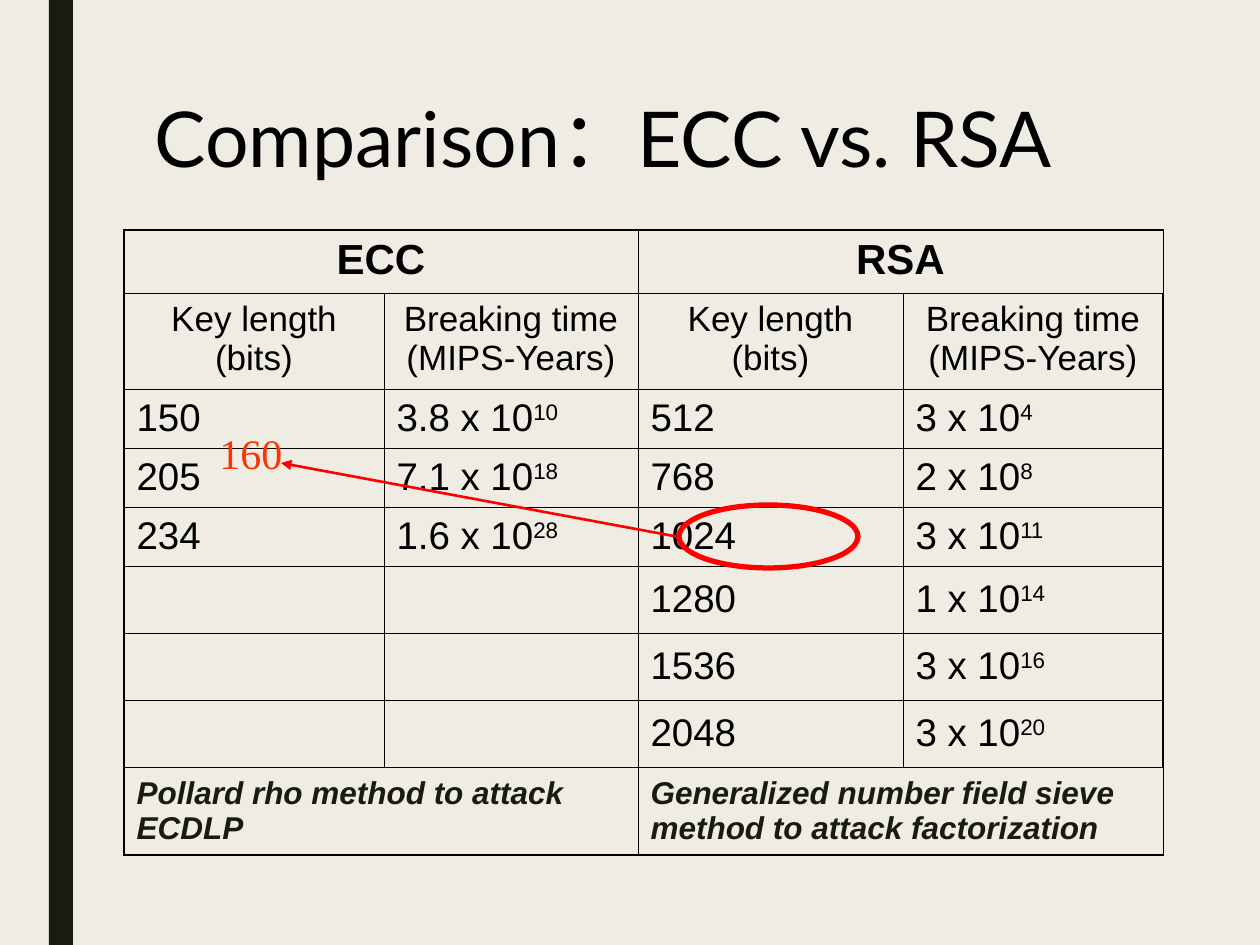
from lxml import etree
from pptx import Presentation
from pptx.dml.color import RGBColor
from pptx.enum.shapes import MSO_CONNECTOR, MSO_SHAPE
from pptx.enum.text import MSO_ANCHOR, PP_ALIGN
from pptx.oxml.ns import qn
from pptx.util import Pt

PX = 914400 / 126
LEFT, CENTER = PP_ALIGN.LEFT, PP_ALIGN.CENTER
TOP, MIDDLE = MSO_ANCHOR.TOP, MSO_ANCHOR.MIDDLE
RECTANGLE, OVAL = MSO_SHAPE.RECTANGLE, MSO_SHAPE.OVAL
STRAIGHT = MSO_CONNECTOR.STRAIGHT

BLACK, DARK, RED, CREAM = "000000", "191B0E", "FF0000", "EFEDE3"
THICK, THIN = 1.08, 0.45
COLUMNS = [260, 254, 265, 260]
ROWS = [63, 96, 59, 59, 59, 67, 67, 67, 88]
HEADINGS = ["Key length (bits)", "Breaking time (MIPS-Years)"]
ECC = [("150", "3.8 x 10", "10"), ("205", "7.1 x 10", "18"), ("234", "1.6 x 10", "28")]
RSA = [("512", "3 x 10", "4"), ("768", "2 x 10", "8"), ("1024", "3 x 10", "11"),
       ("1280", "1 x 10", "14"), ("1536", "3 x 10", "16"), ("2048", "3 x 10", "20")]


def px(*values):
    return [round(value * PX) for value in values]


def color(value):
    return RGBColor.from_string(value)


def write(frame, text, power="", font="Arial", size=22, ink=BLACK, bold=False,
          italic=False, align=LEFT, spacing=None):
    frame.word_wrap = True
    para = frame.paragraphs[0]
    para.alignment = align
    para.line_spacing = spacing
    for part in filter(None, (text, power)):
        span = para.add_run()
        span.text = part
        span.font.name = font
        span.font.size = Pt(size)
        span.font.bold = bold
        span.font.italic = italic
        span.font.color.rgb = color(ink)
    if power:
        span.font._element.set("baseline", "30000")


def set_borders(cell, widths):
    properties = cell._tc.get_or_add_tcPr()
    for side, width in zip("LRTB", widths):
        line = etree.SubElement(properties, qn(f"a:ln{side}"), w=str(Pt(width)))
        fill = etree.SubElement(line, qn("a:solidFill"))
        etree.SubElement(fill, qn("a:srgbClr"), val=BLACK)


def add_side_bar(page, left, top, width, height):
    bar = page.shapes.add_shape(RECTANGLE, *px(left, top, width, height))
    bar.shadow.inherit = False
    bar.fill.solid()
    bar.fill.fore_color.rgb = color(DARK)
    bar.line.fill.background()


def add_title(page, left, top, width, height):
    title = page.shapes.title
    title.left, title.top, title.width, title.height = px(left, top, width, height)
    title.text_frame.vertical_anchor = TOP
    write(title.text_frame, "Comparison：ECC vs. RSA", font="Lato", size=44, spacing=0.89)


def fill_half(table, first, name, results, method):
    last_row = len(ROWS) - 1
    for row in (0, last_row):
        table.cell(row, first).merge(table.cell(row, first + 1))
    write(table.cell(0, first).text_frame, name, size=24, bold=True, align=CENTER)
    for offset, heading in enumerate(HEADINGS):
        write(table.cell(1, first + offset).text_frame, heading, size=20, align=CENTER)
    for row, (length, base, power) in enumerate(results, 2):
        write(table.cell(row, first).text_frame, length)
        write(table.cell(row, first + 1).text_frame, base, power=power)
    write(table.cell(last_row, first).text_frame, method, size=18, ink=DARK,
          bold=True, italic=True)


def add_comparison(page, left, top):
    box = px(left, top, sum(COLUMNS), sum(ROWS))
    table = page.shapes.add_table(len(ROWS), len(COLUMNS), *box).table
    table.first_row = table.horz_banding = False
    for column, width in zip(table.columns, px(*COLUMNS)):
        column.width = width
    for row, height in zip(table.rows, px(*ROWS)):
        row.height = height
    for i in range(len(ROWS)):
        for j in range(len(COLUMNS)):
            cell = table.cell(i, j)
            edges = (j == 0, j == len(COLUMNS) - 1, i == 0, i == len(ROWS) - 1)
            set_borders(cell, [THICK if edge else THIN for edge in edges])
            cell.fill.background()
            cell.vertical_anchor = TOP if i < 2 else MIDDLE
    fill_half(table, 0, "ECC", ECC, "Pollard rho method to attack ECDLP")
    fill_half(table, 2, "RSA", RSA,
              "Generalized number field sieve method to attack factorization")


def add_equivalence(page, left, top):
    group = page.shapes.add_group_shape()
    ring = group.shapes.add_shape(OVAL, *px(left + 472, top + 84, 179, 63))
    ring.shadow.inherit = False
    ring.fill.background()
    ring.line.color.rgb = color(RED)
    ring.line.width = Pt(3)

    label = group.shapes.add_textbox(*px(left, top, 116, 63))
    write(label.text_frame, "160", font="Times New Roman", size=24, ink="FF3300")

    arrow = group.shapes.add_connector(
        STRAIGHT, *px(left + 472, top + 116, left + 74, top + 42))
    arrow.line.color.rgb = color(RED)
    arrow.line.width = Pt(1.5)
    etree.SubElement(arrow.line._get_or_add_ln(), qn("a:tailEnd"), type="triangle")
    etree.SubElement(arrow._element.spPr, qn("a:effectLst"))


def main():
    deck = Presentation()
    deck.slide_width, deck.slide_height = px(1260, 945)
    page = deck.slides.add_slide(deck.slide_layouts[5])
    page.background.fill.solid()
    page.background.fill.fore_color.rgb = color(CREAM)
    add_side_bar(page, 49, 0, 24, 945)
    add_title(page, 142, 95, 992, 205)
    add_comparison(page, 124, 230)
    add_equivalence(page, 207, 421)
    deck.save("out.pptx")


if __name__ == "__main__":
    main()
